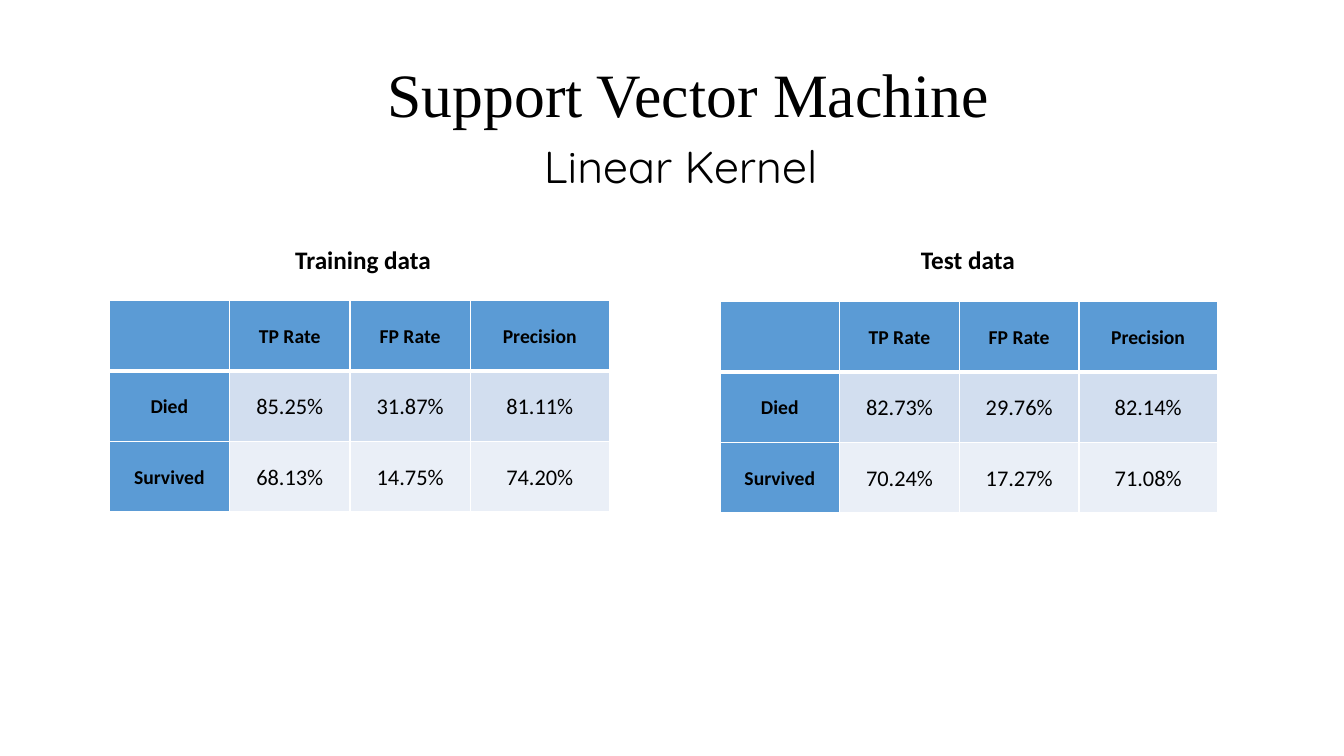
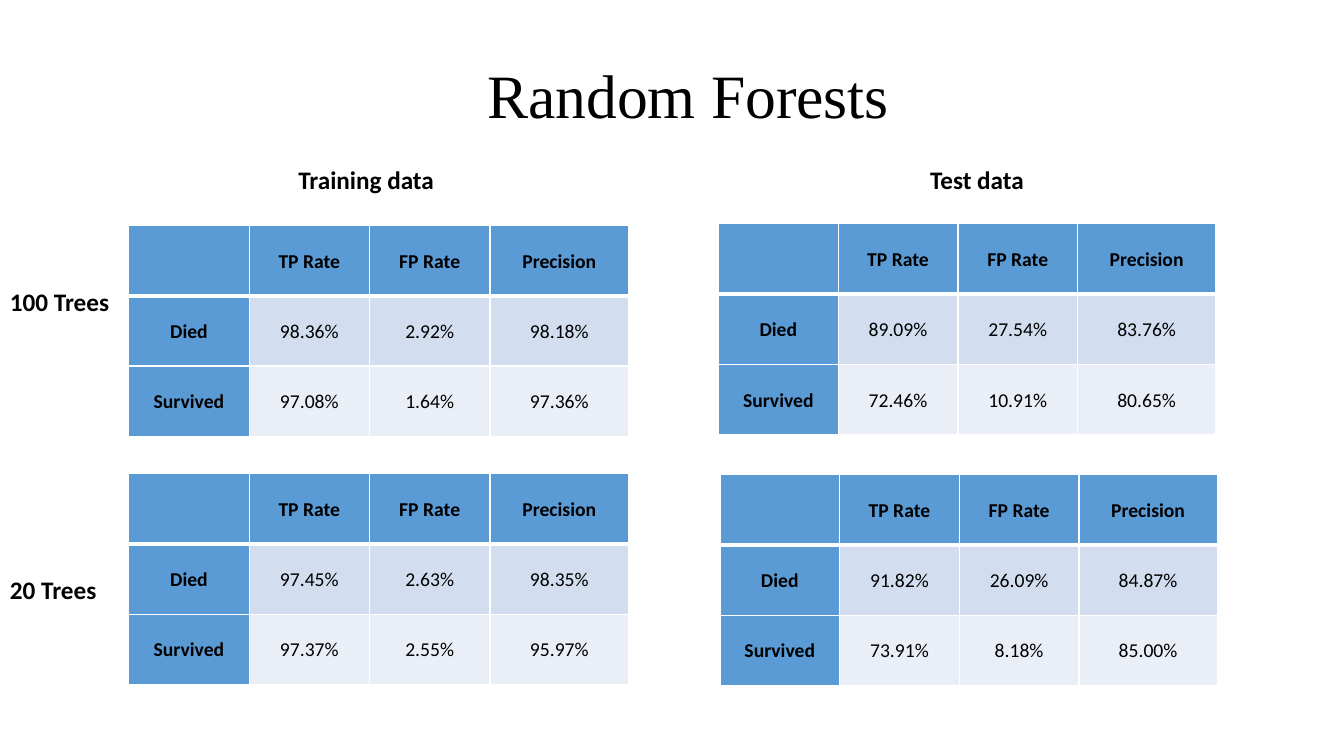
"""Two slides comparing classifier results on training and test data."""
from dataclasses import dataclass

from lxml.etree import SubElement
from pptx import Presentation
from pptx.dml.color import RGBColor
from pptx.enum.text import MSO_ANCHOR, PP_ALIGN
from pptx.oxml.ns import qn
from pptx.util import Pt


@dataclass(frozen=True)
class Theme:
    ink: str = "000000"
    line: str = "FFFFFF"
    head: str = "5B9BD5"
    bands: tuple = ("D2DEEF", "EAEFF7")
    title_font: str = "Times New Roman"
    subtitle_font: str = "Quicksand"
    body_font: str = "Calibri"
    title_size: int = 44
    subtitle_size: int = 32
    caption_size: int = 18
    label_size: int = 14
    thin: int = 1
    thick: int = 3


T = Theme()
INK = RGBColor.from_string(T.ink)
HEADERS = ["", "TP Rate", "FP Rate", "Precision"]
CLASSES = ["Died", "Survived"]
LEFT_COLS = [86, 86, 86, 99.25]
RIGHT_COLS = [85.5, 85.5, 85.5, 98.75]
ROW_HEIGHT = 50.25

SLIDES = [
    {
        "title": "Support Vector Machine",
        "subtitle": "Linear Kernel",
        "value_size": 16,
        "captions": [
            ("Training data", 203.75, 170.75, 112.5),
            ("Test data", 650.75, 170.75, 82),
        ],
        "tables": [
            (78, 214.75, LEFT_COLS,
             [["85.25%", "31.87%", "81.11%"], ["68.13%", "14.75%", "74.20%"]]),
            (514.25, 215.5, RIGHT_COLS,
             [["82.73%", "29.76%", "82.14%"], ["70.24%", "17.27%", "71.08%"]]),
        ],
    },
    {
        "title": "Random Forests",
        "subtitle": None,
        "value_size": 14,
        "captions": [
            ("Training data", 206, 114, 112.5),
            ("Test data", 657.25, 114, 82),
            ("100 Trees", 0, 201, 85.75),
            ("20 Trees", 0, 406.75, 77),
        ],
        "tables": [
            (92, 161, LEFT_COLS,
             [["98.36%", "2.92%", "98.18%"], ["97.08%", "1.64%", "97.36%"]]),
            (513.25, 159.75, RIGHT_COLS,
             [["89.09%", "27.54%", "83.76%"], ["72.46%", "10.91%", "80.65%"]]),
            (92, 338.25, LEFT_COLS,
             [["97.45%", "2.63%", "98.35%"], ["97.37%", "2.55%", "95.97%"]]),
            (514.25, 339, RIGHT_COLS,
             [["91.82%", "26.09%", "84.87%"], ["73.91%", "8.18%", "85.00%"]]),
        ],
    },
]


def set_font(font, name, size, bold=False):
    font.name, font.size, font.bold = name, Pt(size), bold
    font.color.rgb = INK


def add_results(s, left, top, widths, values, value_size):
    rows = [HEADERS] + [[name] + row for name, row in zip(CLASSES, values)]
    table = s.shapes.add_table(len(rows), len(widths), Pt(left), Pt(top),
                               Pt(sum(widths)), Pt(ROW_HEIGHT * len(rows))).table
    for column, width in zip(table.columns, widths):
        column.width = Pt(width)
    for i, row in enumerate(rows):
        table.rows[i].height = Pt(ROW_HEIGHT)
        for j, text in enumerate(row):
            cell = table.cell(i, j)
            is_label = i == 0 or j == 0
            cell.margin_left = cell.margin_right = Pt(5)
            cell.margin_top = cell.margin_bottom = 0
            cell.vertical_anchor = MSO_ANCHOR.MIDDLE
            borders = {
                "a:lnL": T.thin,
                "a:lnR": T.thin,
                "a:lnT": T.thick if i == 1 else T.thin,
                "a:lnB": T.thick if i == 0 else T.thin,
            }
            for tag, width in borders.items():
                ln = SubElement(cell._tc.get_or_add_tcPr(), qn(tag), w=str(Pt(width)))
                SubElement(SubElement(ln, qn("a:solidFill")), qn("a:srgbClr"), val=T.line)
            cell.fill.solid()
            cell.fill.fore_color.rgb = RGBColor.from_string(T.head if is_label else T.bands[i - 1])
            p = cell.text_frame.paragraphs[0]
            p.text = text
            p.alignment = PP_ALIGN.CENTER
            p.line_spacing = 1.07
            set_font(p.font, T.body_font, T.label_size if is_label else value_size, is_label)


prs = Presentation()
prs.slide_width, prs.slide_height = Pt(960), Pt(540)

for page in SLIDES:
    s = prs.slides.add_slide(prs.slide_layouts[6])

    tf = s.shapes.add_textbox(Pt(77.75), Pt(41), Pt(828), Pt(104.5)).text_frame
    tf.word_wrap = True
    tf.vertical_anchor = MSO_ANCHOR.MIDDLE
    p = tf.paragraphs[0]
    p.alignment = PP_ALIGN.CENTER
    p.line_spacing = 0.9
    set_font(p.font, T.title_font, T.title_size)
    p.add_run().text = page["title"]
    if page["subtitle"]:
        p.add_line_break()
        r = p.add_run()
        r.text = page["subtitle"]
        set_font(r.font, T.subtitle_font, T.subtitle_size)
        p.add_run().text = " "
    else:
        tf.margin_bottom = Pt(49)

    for text, left, top, width in page["captions"]:
        tf = s.shapes.add_textbox(Pt(left), Pt(top), Pt(width), Pt(29)).text_frame
        tf.word_wrap = False
        p = tf.paragraphs[0]
        p.text = text
        set_font(p.font, T.body_font, T.caption_size, True)

    for left, top, widths, values in page["tables"]:
        add_results(s, left, top, widths, values, page["value_size"])

prs.save("out.pptx")
